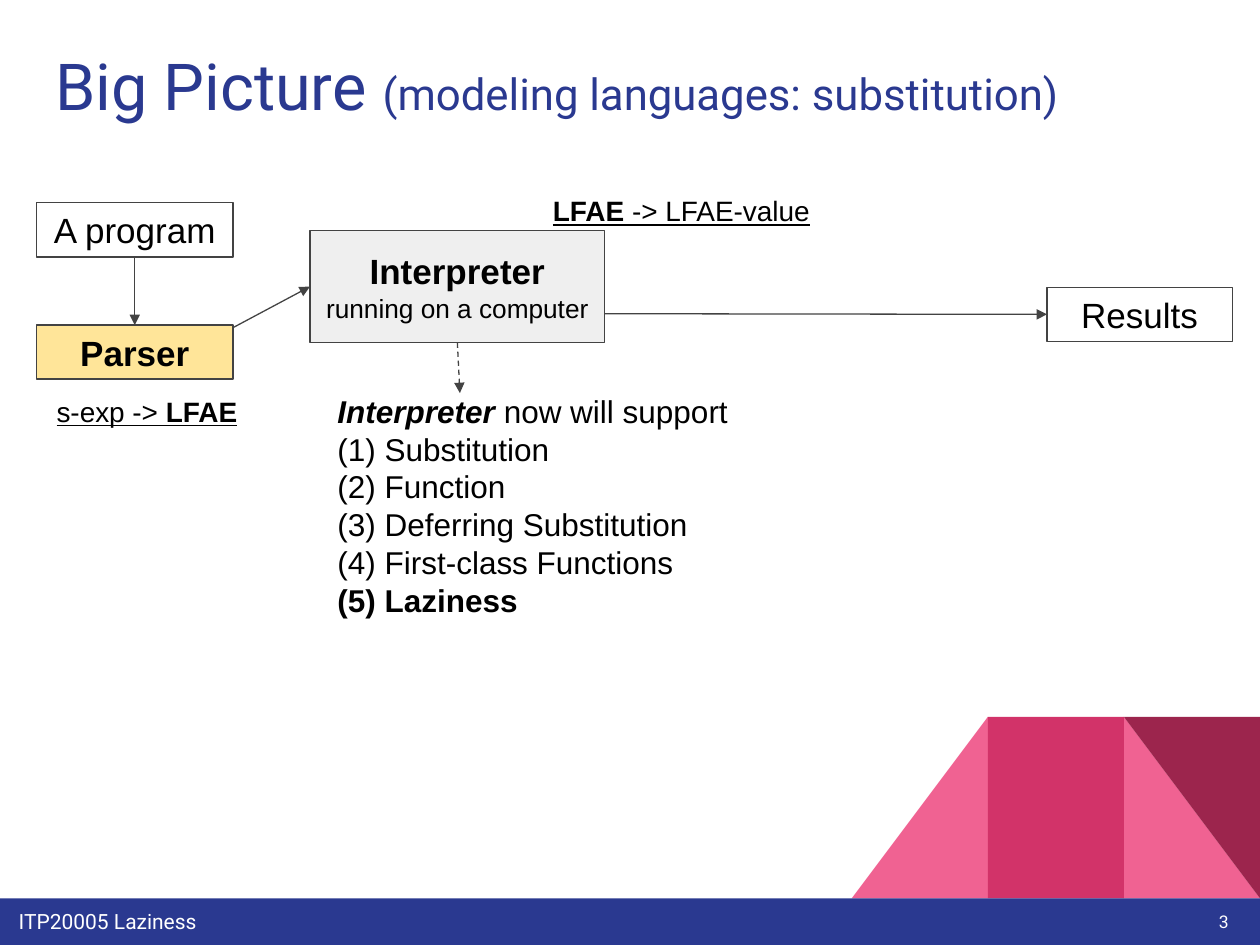
"""Build the Big Picture slide about modeling languages with substitution."""
from lxml import etree
from pptx import Presentation
from pptx.dml.color import RGBColor
from pptx.enum.dml import MSO_LINE
from pptx.enum.shapes import MSO_CONNECTOR, MSO_SHAPE
from pptx.enum.text import MSO_ANCHOR, MSO_AUTO_SIZE, PP_ALIGN
from pptx.oxml.ns import qn
from pptx.util import Inches, Pt

RECTANGLE, TRIANGLE = MSO_SHAPE.RECTANGLE, MSO_SHAPE.RIGHT_TRIANGLE
STRAIGHT, DASH = MSO_CONNECTOR.STRAIGHT, MSO_LINE.DASH
TOP, MIDDLE = MSO_ANCHOR.TOP, MSO_ANCHOR.MIDDLE
LEFT, CENTER, RIGHT = PP_ALIGN.LEFT, PP_ALIGN.CENTER, PP_ALIGN.RIGHT
NO_AUTOFIT = MSO_AUTO_SIZE.NONE
TOP_SITE, LEFT_SITE, BOTTOM_SITE = 0, 1, 2

WHITE = RGBColor(0xFF, 0xFF, 0xFF)
BLACK = RGBColor(0x00, 0x00, 0x00)
NAVY = RGBColor(0x2A, 0x39, 0x90)
PINK = RGBColor(0xF0, 0x62, 0x92)
ROSE = RGBColor(0xD2, 0x33, 0x69)
WINE = RGBColor(0x9C, 0x25, 0x4D)
OUTLINE = RGBColor(0x43, 0x43, 0x43)
GREY = RGBColor(0xEF, 0xEF, 0xEF)
YELLOW = RGBColor(0xFF, 0xE5, 0x99)


def add_span(para, text, size, color=BLACK, font="Arial", **style):
    """Add one formatted run; style holds bold, italic or underline."""
    span = para.add_run()
    span.text = text
    span.font.size = Pt(size)
    span.font.name = font
    span.font.color.rgb = color
    for name, value in style.items():
        setattr(span.font, name, value)


def prepare_frame(shape, align=LEFT, anchor=TOP):
    """Set margins, wrapping and alignment, and return the first paragraph."""
    frame = shape.text_frame
    frame.word_wrap = True
    frame.auto_size = NO_AUTOFIT
    frame.vertical_anchor = anchor
    frame.margin_left = frame.margin_right = Inches(0.1)
    frame.margin_top = frame.margin_bottom = Inches(0.1)
    para = frame.paragraphs[0]
    para.alignment = align
    return para


def add_label(page, bounds, align=LEFT, anchor=TOP):
    """Add a text box and return its first paragraph."""
    box = page.shapes.add_textbox(*map(Inches, bounds))
    return prepare_frame(box, align, anchor)


def add_panel(page, kind, bounds, fill=None, outlined=False):
    """Add a flat preset shape."""
    panel = page.shapes.add_shape(kind, *map(Inches, bounds))
    panel.shadow.inherit = False
    if fill is None:
        panel.fill.background()
    else:
        panel.fill.solid()
        panel.fill.fore_color.rgb = fill
    if outlined:
        panel.line.color.rgb = OUTLINE
        panel.line.width = Pt(0.75)
    else:
        panel.line.fill.background()
    return panel


def add_step(page, bounds, text, fill=None, bold=False):
    """Add an outlined box with a centred caption."""
    step = add_panel(page, RECTANGLE, bounds, fill, outlined=True)
    add_span(prepare_frame(step, CENTER, MIDDLE), text, 20, bold=bold)
    return step


def add_arrow(page, start, end, dash=None):
    """Add a thin straight arrow from start to end."""
    arrow = page.shapes.add_connector(STRAIGHT, *map(Inches, start + end))
    arrow.line.color.rgb = OUTLINE
    arrow.line.width = Pt(0.75)
    if dash is not None:
        arrow.line.dash_style = dash
    outline = arrow.line._get_or_add_ln()
    etree.SubElement(outline, qn("a:tailEnd"), type="triangle")
    etree.SubElement(arrow._element.spPr, qn("a:effectLst"))
    return arrow


def add_decoration(page):
    """Add the corner pattern, the footer band and its text."""
    width, height, top = 1.08, 1.44, 5.69
    left, middle, right = [(10 - count * width, top, width, height) for count in (3, 2, 1)]
    add_panel(page, TRIANGLE, right, PINK)
    mirrored = add_panel(page, TRIANGLE, left, PINK)
    mirrored._element.spPr.find(qn("a:xfrm")).set("flipH", "1")
    add_panel(page, RECTANGLE, middle, ROSE)
    add_panel(page, TRIANGLE, right, WINE).rotation = 180
    add_panel(page, RECTANGLE, (0, 7.13, 10, 0.37), NAVY)
    footer = add_label(page, (0.05, 7.11, 7.35, 0.36))
    add_span(footer, "ITP20005 Laziness", 12, WHITE, "Roboto")
    number = add_label(page, (9.25, 7.03, 0.6, 0.57), RIGHT, MIDDLE)
    add_span(number, "3", 10, WHITE, "Roboto")


def add_title(page):
    """Place and fill the title placeholder."""
    title = page.shapes.title
    title.left, title.top = Inches(0.34), Inches(0.26)
    title.width, title.height = Inches(9.32), Inches(0.89)
    para = prepare_frame(title)
    add_span(para, "Big Picture ", 37, NAVY, "Roboto")
    add_span(para, "(modeling languages: substitution)", 25, NAVY, "Roboto")


def add_flow(page):
    """Add the boxes from program to results and the arrows between them."""
    interpreter = add_step(page, (2.46, 1.83, 2.34, 0.89), "Interpreter", GREY, bold=True)
    para = interpreter.text_frame.paragraphs[0]
    para.add_line_break()
    add_span(para, "running on a computer", 15)
    program = add_step(page, (0.29, 1.61, 1.56, 0.43), "A program")
    parser = add_step(page, (0.29, 2.58, 1.56, 0.43), "Parser", YELLOW, bold=True)
    results = add_step(page, (8.31, 2.28, 1.47, 0.43), "Results")

    parsing = add_arrow(page, (1.07, 2.04), (1.07, 2.58))
    parsing.begin_connect(program, BOTTOM_SITE)
    parsing.end_connect(parser, TOP_SITE)
    add_arrow(page, (1.85, 2.6), (2.46, 2.27)).end_connect(interpreter, LEFT_SITE)
    add_arrow(page, (4.8, 2.49), (8.31, 2.5)).end_connect(results, LEFT_SITE)
    detail = add_arrow(page, (3.63, 2.72), (3.65, 3.12), DASH)
    detail.begin_connect(interpreter, BOTTOM_SITE)


def add_notation(page):
    """Add the underlined type signatures of the parser and interpreter."""
    para = add_label(page, (0.35, 3.03, 2.11, 0.4))
    add_span(para, "s-exp -> ", 16, underline=True)
    add_span(para, "LFAE", 16, underline=True, bold=True)
    para = add_label(page, (4.29, 1.44, 2.29, 0.33))
    add_span(para, "LFAE", 16, underline=True, bold=True)
    add_span(para, " -> LFAE-value", 16, underline=True)


def add_features(page):
    """Add the list of features that the interpreter supports."""
    features = ("Substitution", "Function", "Deferring Substitution",
                "First-class Functions", "Laziness")
    box = page.shapes.add_textbox(*map(Inches, (2.58, 3.01, 4.45, 3.16)))
    para = prepare_frame(box)
    add_span(para, "Interpreter ", 18, bold=True, italic=True)
    add_span(para, "now will support", 18)
    for number, feature in enumerate(features, 1):
        para = box.text_frame.add_paragraph()
        add_span(para, f"({number}) {feature}", 18, bold=number == len(features))


def main():
    """Build and save the deck."""
    deck = Presentation()
    deck.slide_width, deck.slide_height = Inches(10), Inches(7.5)
    page = deck.slides.add_slide(deck.slide_layouts.get_by_name("Title Only"))
    add_decoration(page)
    add_title(page)
    add_flow(page)
    add_notation(page)
    add_features(page)
    deck.save("out.pptx")


if __name__ == "__main__":
    main()
